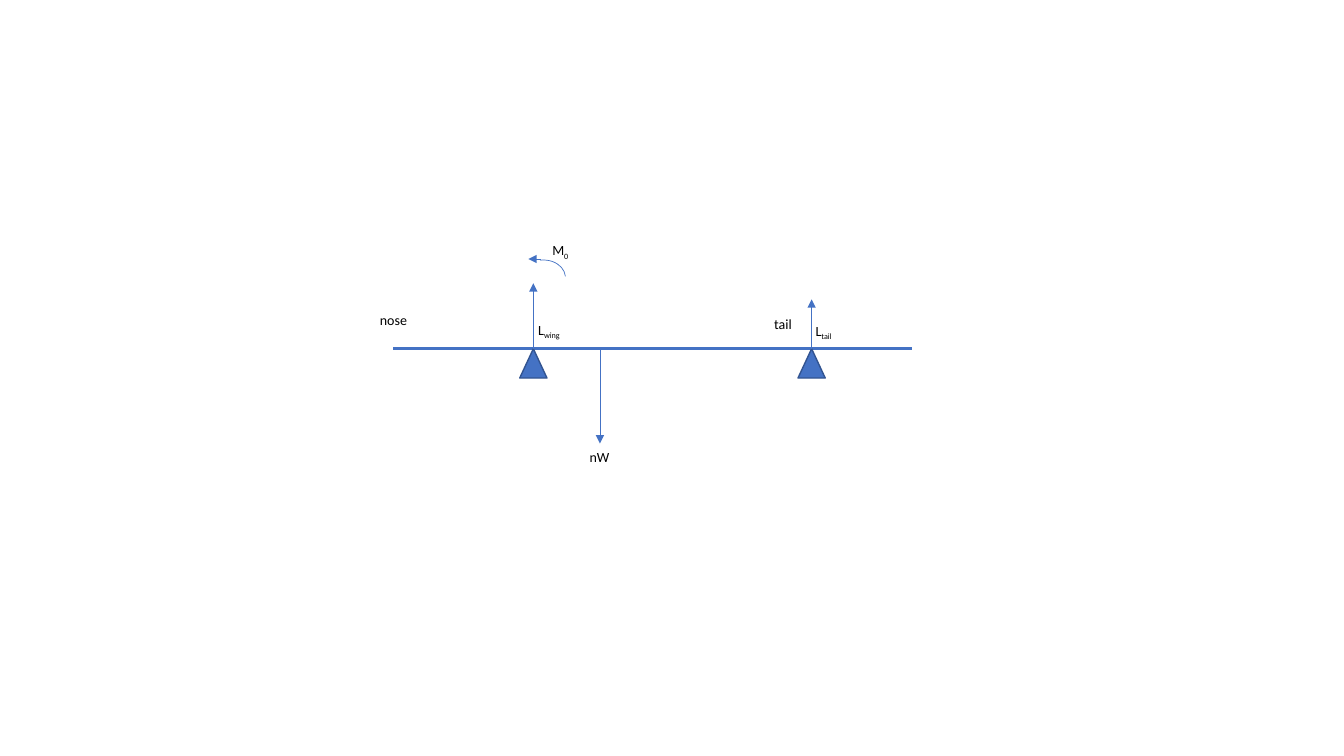
from lxml.etree import SubElement
from pptx import Presentation
from pptx.dml.color import RGBColor
from pptx.enum.shapes import MSO_CONNECTOR, MSO_SHAPE
from pptx.enum.text import MSO_AUTO_SIZE
from pptx.oxml.ns import qn
from pptx.util import Inches, Pt


def color(hex_string):
    return RGBColor.from_string(hex_string)


class Diagram:
    font = "Calibri"
    text_size = 10
    text_color = "000000"
    blue = "4472C4"
    outline = "325491"
    thin = 0.5

    def __init__(self, slide):
        self.shapes = slide.shapes

    def line(self, start, end, width=thin, arrow=False):
        connector = self.shapes.add_connector(
            MSO_CONNECTOR.STRAIGHT, *map(Inches, start + end))
        connector.line.color.rgb = color(self.blue)
        connector.line.width = Pt(width)
        properties = connector._element.spPr
        if arrow:
            SubElement(properties.find(qn("a:ln")), qn("a:tailEnd"), type="triangle")
        SubElement(properties, qn("a:effectLst"))

    def shape(self, kind, left, top, width, height, line, line_width, fill=None):
        shape = self.shapes.add_shape(
            kind, *map(Inches, (left, top, width, height)))
        shape.shadow.inherit = False
        if fill:
            shape.fill.solid()
            shape.fill.fore_color.rgb = color(fill)
        else:
            shape.fill.background()
        shape.line.color.rgb = color(line)
        shape.line.width = Pt(line_width)
        return shape

    def support(self, x, y):
        width, height = 0.27, 0.29
        self.shape(MSO_SHAPE.ISOSCELES_TRIANGLE, x - width / 2, y, width, height,
                   self.outline, 1, self.blue)

    def label(self, left, top, width, text, subscript=""):
        box = self.shapes.add_textbox(*map(Inches, (left, top, width, 0.27)))
        frame = box.text_frame
        frame.word_wrap = False
        frame.auto_size = MSO_AUTO_SIZE.SHAPE_TO_FIT_TEXT
        para = frame.paragraphs[0]
        self.span(para, text)
        if subscript:
            span = self.span(para, subscript)
            span._r.get_or_add_rPr().set("baseline", "-25000")

    def span(self, para, text):
        span = para.add_run()
        span.text = text
        span.font.name = self.font
        span.font.size = Pt(self.text_size)
        span.font.color.rgb = color(self.text_color)
        return span


def main():
    deck = Presentation()
    deck.slide_width, deck.slide_height = Inches(13.33), Inches(7.5)
    page = deck.slides.add_slide(deck.slide_layouts[6])
    diagram = Diagram(page)

    beam_y = 3.46
    wing_x, weight_x, tail_x = 5.29, 5.95, 8.05

    # Beam and its supports
    diagram.line((3.9, beam_y), (9.05, beam_y), width=2.25)
    for x in (wing_x, tail_x):
        diagram.support(x, beam_y)

    # Forces: lift at wing and tail, weight
    for x, tip_y in ((wing_x, 2.81), (tail_x, 2.97), (weight_x, 4.4)):
        diagram.line((x, beam_y), (x, tip_y), arrow=True)

    # Pitching moment
    arc = diagram.shape(MSO_SHAPE.ARC, 5.15, 2.58, 0.46, 0.37,
                        diagram.blue, diagram.thin)
    arc.rotation = 354.1
    diagram.line((5.37, 2.57), (5.24, 2.57), arrow=True)

    # Labels: left, top, width, text, subscript
    for label in (
        (3.67, 3.04, 0.47, "nose"),
        (7.58, 3.08, 0.38, "tail"),
        (5.38, 2.35, 0.37, "M", "0"),
        (5.75, 4.4, 0.4, "nW"),
        (5.24, 3.14, 0.44, "L", "wing"),
        (7.99, 3.15, 0.38, "L", "tail"),
    ):
        diagram.label(*label)

    deck.save("out.pptx")


if __name__ == "__main__":
    main()
